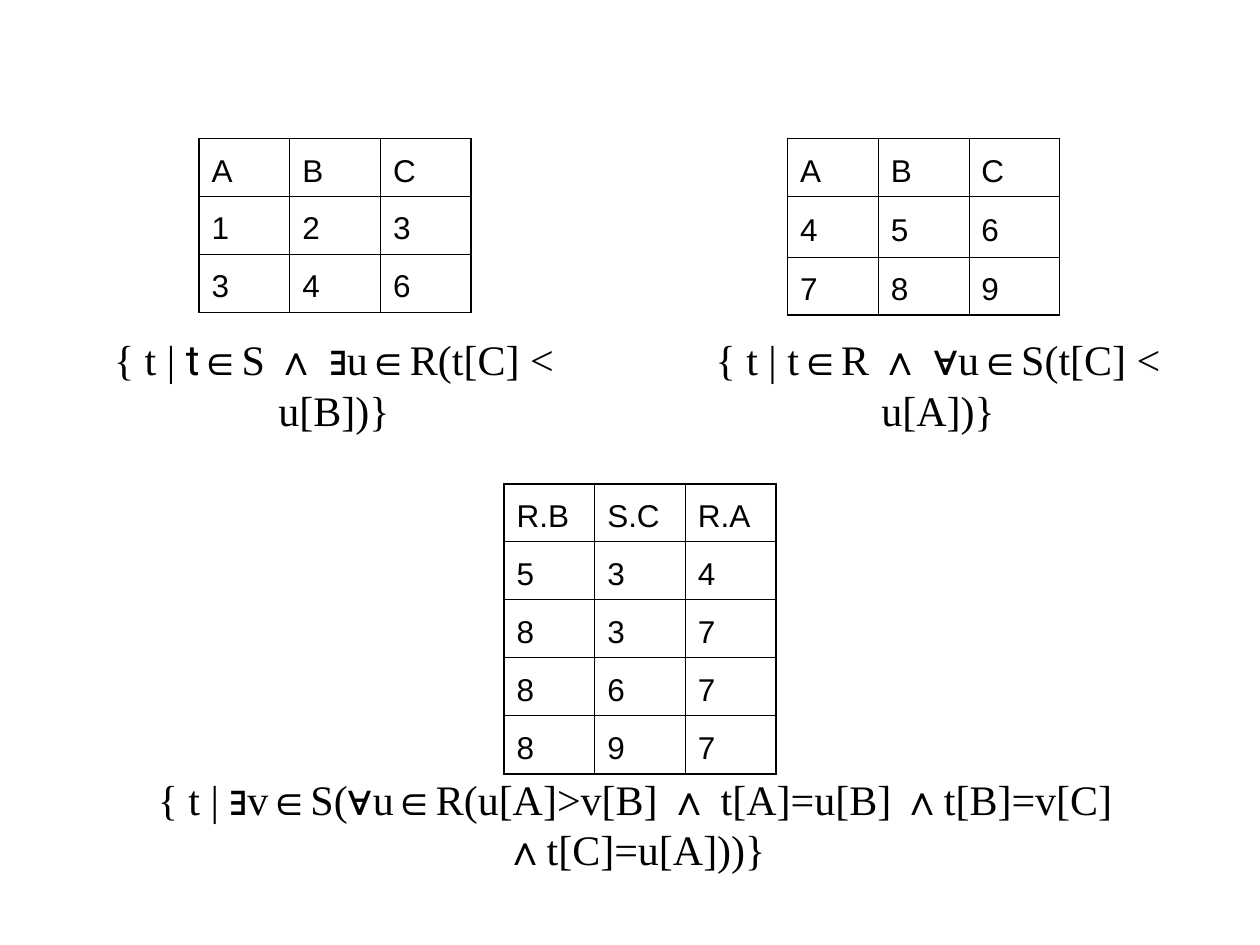
import pptx
import pptx.dml.color
import pptx.enum.text
import pptx.oxml.ns
import pptx.util
from lxml import etree

Inches = pptx.util.Inches
Pt = pptx.util.Pt
COLORS = {"ink": "000000"}
INK = pptx.dml.color.RGBColor.from_string(COLORS["ink"])
FONTS = {"table": "Arial", "math": "Arial", "text": "Times New Roman", "var": "Roboto"}
SIGNS = "∈∧∃∀"
COL = 0.72
ROW = 0.46


def style(font, name, size):
    font.name = name
    font.size = Pt(size)
    font.color.rgb = INK


def edge(cell, side, outer):
    """Draw one cell border, heavier on the outside of the table."""
    qn = pptx.oxml.ns.qn
    props = cell._tc.get_or_add_tcPr()
    width = Pt(1.08 if outer else 0.45)
    line = etree.SubElement(props, qn("a:ln" + side), w=str(width))
    fill = etree.SubElement(line, qn("a:solidFill"))
    etree.SubElement(fill, qn("a:srgbClr"), val=COLORS["ink"])


def add_grid(slide, left, top, rows, heights):
    count, wide = len(rows), len(rows[0])
    frame = slide.shapes.add_table(count, wide, Inches(left), Inches(top),
                                   Inches(COL * wide), Inches(sum(heights)))
    table = frame.table
    table.first_row = False
    table.horz_banding = False
    for col in table.columns:
        col.width = Inches(COL)
    for r, (row, height) in enumerate(zip(rows, heights)):
        table.rows[r].height = Inches(height)
        for c, value in enumerate(row):
            cell = table.cell(r, c)
            cell.vertical_anchor = pptx.enum.text.MSO_ANCHOR.MIDDLE
            cell.text_frame.text = value
            para = cell.text_frame.paragraphs[0]
            para.line_spacing = 1.2
            style(para.runs[0].font, FONTS["table"], 18)
            # Borders come before the fill in the cell properties
            edge(cell, "L", c == 0)
            edge(cell, "R", c == wide - 1)
            edge(cell, "T", r == 0)
            edge(cell, "B", r == count - 1)
            cell.fill.background()


def add_query(slide, left, top, width, parts):
    """Place a centred formula; signs and a lone variable get their own font."""
    box = slide.shapes.add_textbox(Inches(left), Inches(top), Inches(width), Inches(0.5))
    frame = box.text_frame
    frame.word_wrap = True
    frame.auto_size = pptx.enum.text.MSO_AUTO_SIZE.SHAPE_TO_FIT_TEXT
    para = frame.paragraphs[0]
    para.alignment = pptx.enum.text.PP_ALIGN.CENTER
    for part in parts:
        run = para.add_run()
        run.text = part
        kind = "math" if part[0] in SIGNS else "var" if part == "t" else "text"
        style(run.font, FONTS[kind], 24)


def main():
    deck = pptx.Presentation()
    deck.slide_width = Inches(10)
    deck.slide_height = Inches(7.5)
    slide = deck.slides.add_slide(deck.slide_layouts[6])

    # Upper left: rows of S
    add_grid(slide, 1.58, 1.1, ["ABC", "123", "346"], [ROW] * 3)
    add_query(slide, 0.49, 2.6, 4.32,
              ["{ t | ", "t", "∈", "S ", "∧ ∃", "u", "∈", "R(t[C] < u[B])}"])

    # Upper right: rows of R
    add_grid(slide, 6.25, 1.1, ["ABC", "456", "789"], [ROW, 0.48, ROW])
    add_query(slide, 5.28, 2.6, 4.33,
              ["{ t | t", "∈", "R ", "∧ ∀", "u", "∈", "S(t[C] < u[A])}"])

    # Bottom: joined rows
    add_grid(slide, 4, 3.84, [["R.B", "S.C", "R.A"], "534", "837", "867", "897"], [ROW] * 5)
    add_query(slide, 0.45, 6.09, 9.18,
              ["{ t | ", "∃", "v", "∈", "S(", "∀", "u", "∈", "R(u[A]>v[B] ", "∧",
               " t[A]=u[B] ", "∧", "t[B]=v[C] ", "∧", "t[C]=u[A]))}"])

    deck.save("out.pptx")


if __name__ == "__main__":
    main()
